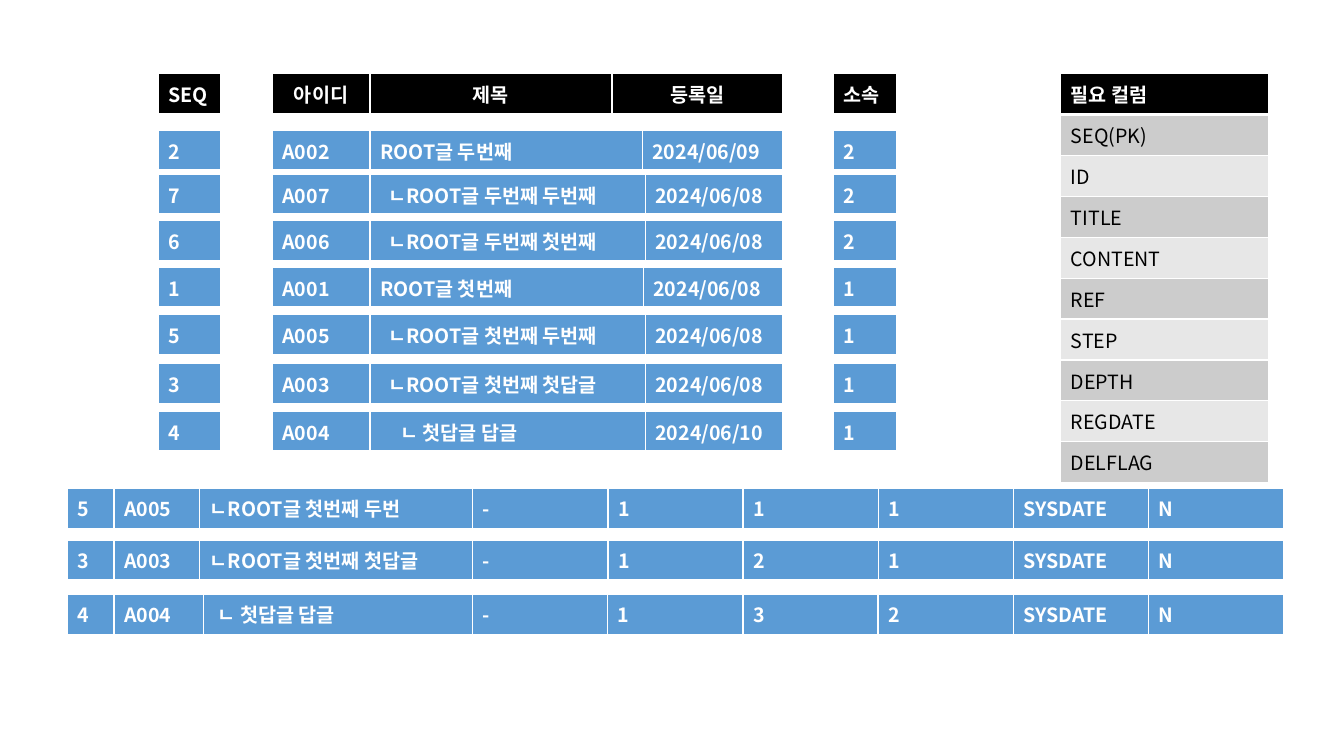
from lxml.etree import SubElement
from pptx import Presentation
from pptx.dml.color import RGBColor as RGB
from pptx.enum.text import MSO_ANCHOR as Anchor, PP_ALIGN as Align
from pptx.oxml.ns import qn
from pptx.util import Inches, Pt

BLUE, BLACK, WHITE = RGB(0x5B, 0x9B, 0xD5), RGB(0, 0, 0), RGB(255, 255, 255)
GREYS = RGB(0xCC, 0xCC, 0xCC), RGB(0xE7, 0xE7, 0xE7)
FONT = "Noto Sans CJK KR"

HEADS = "SEQ", ["아이디", "제목", "등록일"], "소속"
# top, seq, id, indent steps, title, title width, date, group
POSTS = [
    (1.29, "2", "A002", 0, "ROOT글 두번째", 2.7, "2024/06/09", "2"),
    (1.73, "7", "A007", 2, "ㄴROOT글 두번째 두번째", 2.73, "2024/06/08", "2"),
    (2.19, "6", "A006", 2, "ㄴROOT글 두번째 첫번째", 2.73, "2024/06/08", "2"),
    (2.65, "1", "A001", 0, "ROOT글 첫번째", 2.71, "2024/06/08", "1"),
    (3.12, "5", "A005", 2, "ㄴROOT글 첫번째 두번째", 2.73, "2024/06/08", "1"),
    (3.61, "3", "A003", 2, "ㄴROOT글 첫번째 첫답글", 2.73, "2024/06/08", "1"),
    (4.08, "4", "A004", 5, "ㄴ 첫답글 답글", 2.73, "2024/06/10", "1"),
]
FIELDS = ["SEQ(PK)", "ID", "TITLE", "CONTENT", "REF", "STEP", "DEPTH",
          "REGDATE", "DELFLAG"]
# top, id width, indent steps, values
RECORDS = [
    (4.85, 0.85, 0, ["5", "A005", "ㄴROOT글 첫번째 두번", "-", "1", "1", "1", "SYSDATE", "N"]),
    (5.36, 0.85, 0, ["3", "A003", "ㄴROOT글 첫번째 첫답글", "-", "1", "2", "1", "SYSDATE", "N"]),
    (5.9, 0.89, 1, ["4", "A004", "ㄴ 첫답글 답글", "-", "1", "3", "2", "SYSDATE", "N"]),
]

HEAD_TOP, ROW = 0.73, 4.06 / 10
SEQ_X, BOARD_X, GROUP_X, FIELD_X, REC_X = 1.57, 2.7, 8.27, 10.52, 0.67
SMALL, BOARD, ID, FIELD = 0.62, 5.06, 0.97, 2.06
REC_SEQ, REC_TEXT, REC_COL = 0.46, 3.56, 1.34
PAD, STEP = 0.1, 0.04

prs = Presentation()
prs.slide_width, prs.slide_height = Inches(13.33), Inches(7.5)
slide = prs.slides.add_slide(prs.slide_layouts[6])


def edge(cell, side, width):
    line = SubElement(cell._tc.get_or_add_tcPr(), qn("a:ln" + side), w=str(Pt(width)))
    fill = SubElement(line, qn("a:solidFill"))
    SubElement(fill, qn("a:srgbClr"), val=str(WHITE))


def write(cell, text, color=WHITE, bold=True, align=None, anchor=Anchor.MIDDLE, indent=0):
    cell.vertical_anchor = anchor
    cell.margin_left = Inches(PAD + indent * STEP)
    par = cell.text_frame.paragraphs[0]
    if align is not None:
        par.alignment = align
    run = par.add_run()
    run.text = text
    font = run.font
    font.name, font.size, font.bold = FONT, Pt(14), bold
    font.color.rgb = color
    SubElement(run._r.get_or_add_rPr(), qn("a:ea"), typeface=FONT)


def grid(x, y, widths, count=1):
    """Add a plain table with white rules, thick under its first row."""
    table = slide.shapes.add_table(count, len(widths), Inches(x), Inches(y),
                                   Inches(sum(widths)), Inches(ROW * count)).table
    table.first_row = table.horz_banding = False
    for col, width in zip(table.columns, widths):
        col.width = Inches(width)
    for i, row in enumerate(table.rows):
        row.height = Inches(ROW)
        for cell in row.cells:
            for side in "LRTB":
                if side != "T" or i == 0:
                    edge(cell, side, 3 if side == "B" and i == 0 else 1)
    return table


def strip(x, y, widths, texts, fill=BLUE, indents=None, **style):
    """Add a one-row table; indents maps a column to its indent steps."""
    table = grid(x, y, widths)
    for i, text in enumerate(texts):
        cell = table.cell(0, i)
        write(cell, text, indent=(indents or {}).get(i, 0), **style)
        cell.fill.solid()
        cell.fill.fore_color.rgb = fill


seq, names, group = HEADS
strip(SEQ_X, HEAD_TOP, [SMALL], [seq], BLACK)
strip(BOARD_X, HEAD_TOP, [ID, 2.4, 1.69], names, BLACK, align=Align.CENTER)
strip(GROUP_X, HEAD_TOP, [SMALL], [group], BLACK)

for top, seq, user, indent, title, width, date, group in POSTS:
    strip(SEQ_X, top, [SMALL], [seq])
    strip(BOARD_X, top, [ID, width, BOARD - ID - width], [user, title, date],
          indents={1: indent})
    strip(GROUP_X, top, [SMALL], [group])

fields = grid(FIELD_X, HEAD_TOP, [FIELD], len(FIELDS) + 1)
for i, text in enumerate(["필요 컬럼"] + FIELDS):
    cell = fields.cell(i, 0)
    write(cell, text, color=BLACK if i else WHITE, bold=i == 0)
    cell.fill.solid()
    cell.fill.fore_color.rgb = GREYS[(i - 1) % 2] if i else BLACK

for top, width, indent, values in RECORDS:
    strip(REC_X, top, [REC_SEQ, width, REC_TEXT - width] + [REC_COL] * 6, values,
          indents={2: indent}, anchor=Anchor.TOP)

prs.save("out.pptx")
